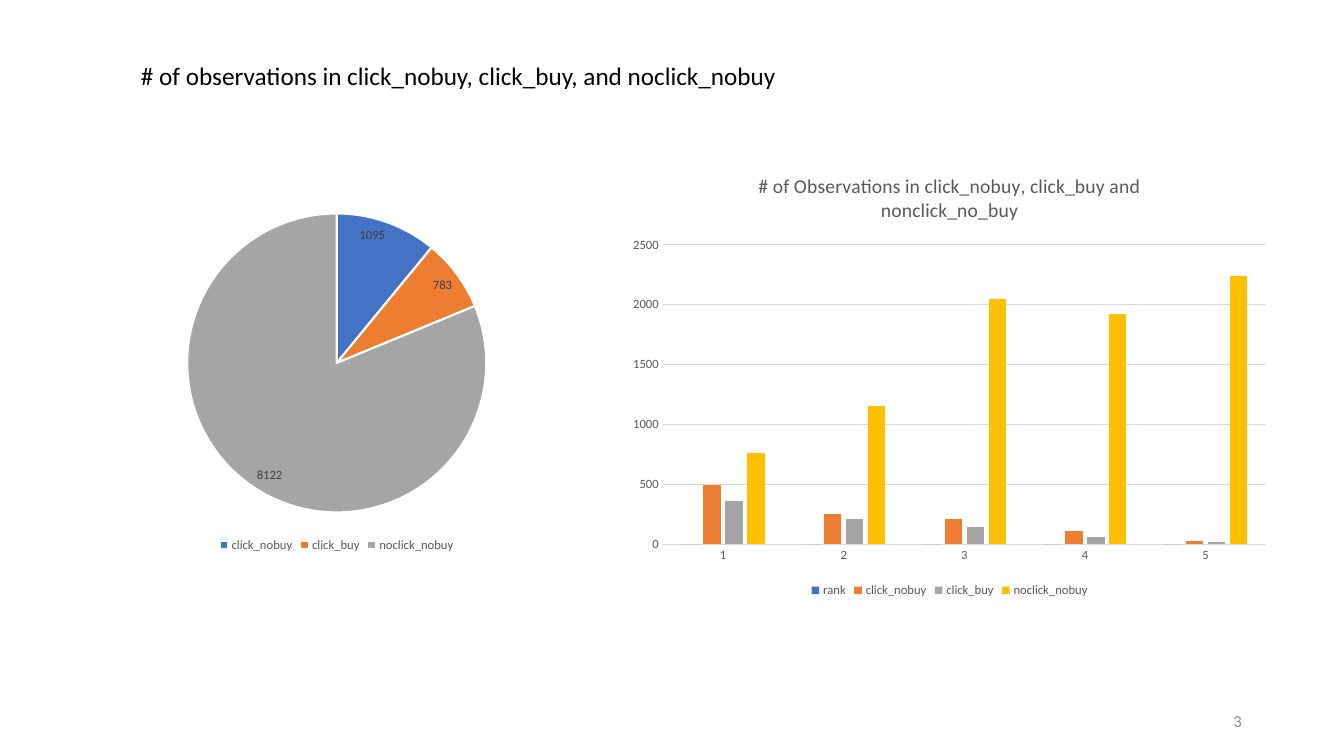
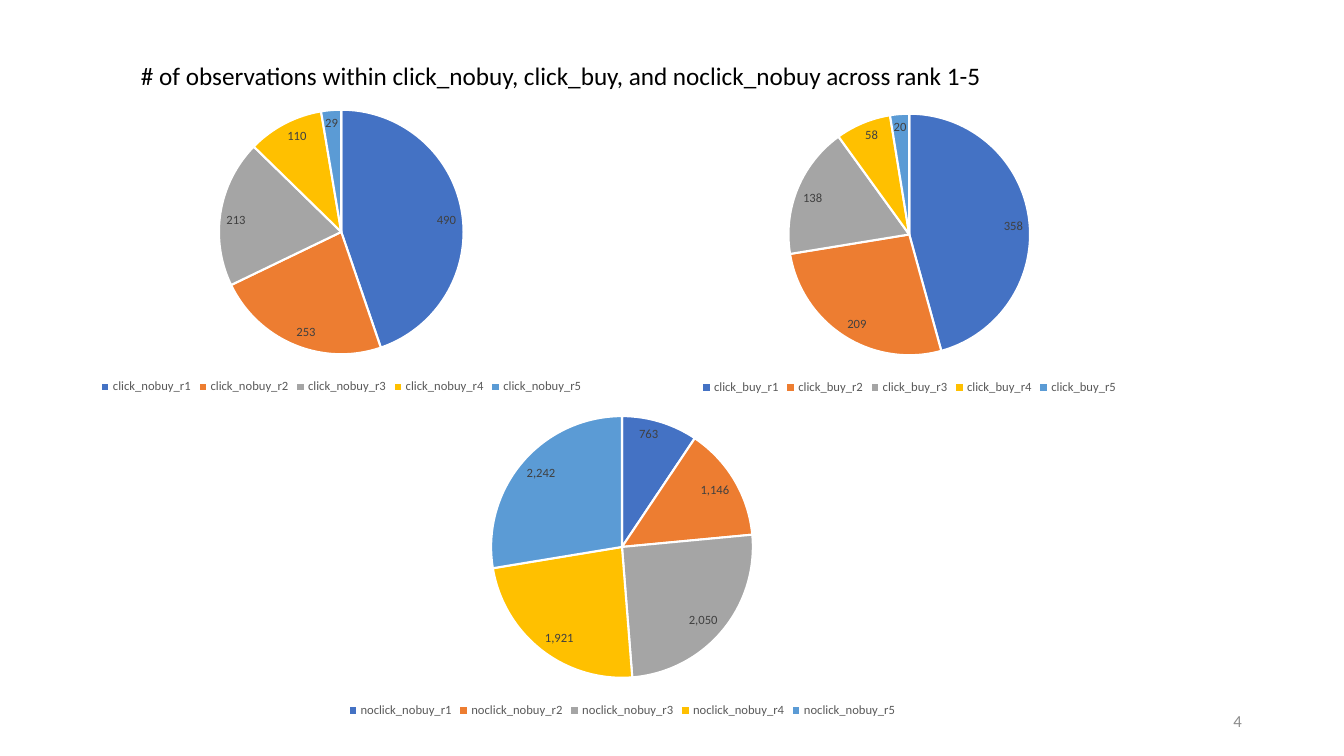
from pptx import Presentation
from pptx.chart.data import CategoryChartData as ChartData
from pptx.dml.color import RGBColor
from pptx.enum.chart import XL_CHART_TYPE as ChartType
from pptx.enum.chart import XL_LABEL_POSITION as LabelPosition
from pptx.enum.chart import XL_LEGEND_POSITION as LegendPosition
from pptx.enum.chart import XL_TICK_MARK as TickMark
from pptx.enum.text import MSO_ANCHOR as Anchor
from pptx.enum.text import MSO_AUTO_SIZE as AutoSize
from pptx.enum.text import PP_ALIGN as Align
from pptx.util import Inches, Pt

FONT = "Calibri"
COLORS = {
    "black": "000000",
    "label": "404040",
    "muted": "595959",
    "number": "8C8C8C",
    "rule": "D9D9D9",
    "white": "FFFFFF",
    "blue": "4472C4",
    "orange": "ED7D31",
    "gray": "A5A5A5",
    "gold": "FFC000",
    "sky": "5B9BD5",
}
PALETTE = ["blue", "orange", "gray", "gold", "sky"]


def rgb(name):
    return RGBColor.from_string(COLORS[name])


class ChartDeck:
    """Style and current slide; places are percentages of the slide."""

    def __init__(self):
        self.deck = Presentation()
        self.deck.slide_width = Inches(13.33)
        self.deck.slide_height = Inches(7.5)
        self.page = None

    def place(self, left, top, width, height):
        across, down = self.deck.slide_width, self.deck.slide_height
        return [int(share * full / 100) for share, full in
                zip((left, top, width, height), (across, down, across, down))]

    def style(self, font, size, color):
        font.name = FONT
        font.size = Pt(size)
        font.bold = False
        font.color.rgb = rgb(color)

    def text(self, words, at, size, color, align=Align.LEFT):
        box = self.page.shapes.add_textbox(*self.place(*at))
        para = box.text_frame.paragraphs[0]
        para.text = words
        para.alignment = align
        self.style(para.font, size, color)
        return box.text_frame

    def add_page(self, title, title_width, number):
        self.page = self.deck.slides.add_slide(self.deck.slide_layouts[6])
        frame = self.text(title, (9.75, 7.33, title_width, 5.33), 18, "black")
        frame.word_wrap = False
        frame.auto_size = AutoSize.SHAPE_TO_FIT_TEXT
        frame = self.text(str(number), (70.65, 92.67, 22.5, 5.33), 12,
                          "number", Align.RIGHT)
        frame.word_wrap = True
        frame.vertical_anchor = Anchor.MIDDLE

    def chart(self, kind, categories, series, at):
        data = ChartData()
        data.categories = categories
        for name, values in series.items():
            data.add_series(name, values)
        chart = self.page.shapes.add_chart(kind, *self.place(*at), data).chart
        self.style(chart.font, 10, "black")
        chart.has_title = False
        chart.has_legend = True
        chart.legend.position = LegendPosition.BOTTOM
        chart.legend.include_in_layout = False
        self.style(chart.legend.font, 9, "muted")
        return chart

    def pie(self, slices, at, number_format="General"):
        chart = self.chart(ChartType.PIE, list(slices),
                           {"Series 1": list(slices.values())}, at)
        plot = chart.plots[0]
        plot.vary_by_categories = True
        for index, color in enumerate(PALETTE[:len(slices)]):
            point = plot.series[0].points[index].format
            point.fill.solid()
            point.fill.fore_color.rgb = rgb(color)
            point.line.color.rgb = rgb("white")
            point.line.width = Pt(1.5)
        labels = plot.series[0].data_labels
        labels.show_value = True
        labels.position = LabelPosition.INSIDE_END
        labels.number_format = number_format
        labels.number_format_is_linked = False
        self.style(labels.font, 9, "label")

    def columns(self, title, categories, series, at):
        chart = self.chart(ChartType.COLUMN_CLUSTERED, categories, series, at)
        chart.has_title = True
        para = chart.chart_title.text_frame.paragraphs[0]
        para.text = title
        self.style(para.font, 14, "muted")
        chart.chart_title.include_in_layout = False

        plot = chart.plots[0]
        plot.vary_by_categories = False
        plot.gap_width = 219
        plot.overlap = -27
        for bars, color in zip(plot.series, PALETTE):
            bars.format.fill.solid()
            bars.format.fill.fore_color.rgb = rgb(color)

        for axis in (chart.category_axis, chart.value_axis):
            axis.major_tick_mark = axis.minor_tick_mark = TickMark.NONE
            self.style(axis.tick_labels.font, 9, "muted")
        chart.value_axis.format.line.fill.background()
        chart.value_axis.has_major_gridlines = True
        for line in (chart.category_axis.format.line,
                     chart.value_axis.major_gridlines.format.line):
            line.color.rgb = rgb("rule")
            line.width = Pt(0.75)


def by_rank(group, values):
    return {f"{group}_r{rank}": value for rank, value in enumerate(values, 1)}


def main():
    show = ChartDeck()

    # Totals per group, and groups by rank
    show.add_page("# of observations in click_nobuy, click_buy, "
                  "and noclick_nobuy", 49.35, 3)
    show.pie({"click_nobuy": 1095, "click_buy": 783, "noclick_nobuy": 8122},
             (4.88, 26.4, 40.35, 47.2))
    show.columns(
        "# of Observations in click_nobuy, click_buy and nonclick_no_buy",
        ["1", "2", "3", "4", "5"],
        {
            "rank": [0, 0, 0, 0, 0],
            "click_nobuy": [490, 250, 210, 110, 30],
            "click_buy": [360, 210, 140, 60, 20],
            "noclick_nobuy": [760, 1150, 2050, 1920, 2240],
        },
        (46.13, 20.4, 49.05, 59.2))

    # Ranks within each group
    show.add_page("# of observations within click_nobuy, click_buy, "
                  "and noclick_nobuy across rank 1-5", 64.73, 4)
    show.pie(by_rank("click_nobuy", [490, 253, 213, 110, 29]),
             (5.48, 12.67, 39.83, 40))
    show.pie(by_rank("click_buy", [358, 209, 138, 58, 20]),
             (45.23, 13.2, 44.85, 39.6))
    show.pie(by_rank("noclick_nobuy", [763, 1146, 2050, 1921, 2242]),
             (20.03, 53.2, 52.5, 42.27), "#,##0")

    show.deck.save("out.pptx")


if __name__ == "__main__":
    main()
